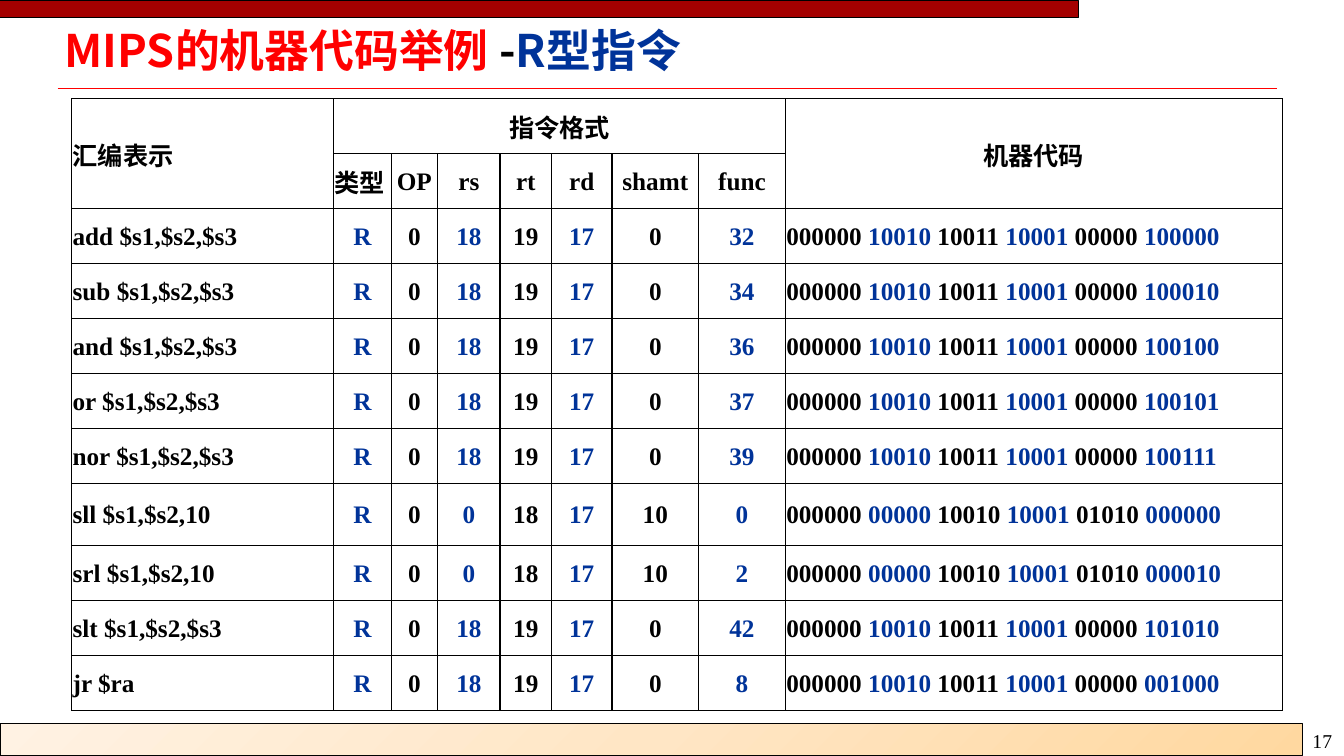
from pptx import Presentation
from pptx import util as u
from pptx.dml.color import RGBColor
from pptx.enum import shapes, text
from pptx.oxml import parse_xml
from pptx.oxml.ns import nsdecls, qn

COLORS = {"black": "000000", "white": "FFFFFF", "red": "FF0000", "blue": "003399",
          "crimson": "A40000", "peach": "FFD8A0", "apricot": "FFE6C5", "cream": "FFF2E3"}
SANS, SERIF = "Noto Sans CJK SC", "Times New Roman"

deck = Presentation()
deck.slide_width, deck.slide_height = u.Inches(13.33), u.Inches(7.5)
slide = deck.slides.add_slide(deck.slide_layouts[6])


def place(left, top, width, height):
    return [int(side * share / 100) for side, share in
            zip((deck.slide_width, deck.slide_height) * 2, (left, top, width, height))]


def write(paragraph, pieces, size, latin, bold=True):
    for words, color in pieces:
        run = paragraph.add_run()
        run.text = words
        run.font.size, run.font.bold, run.font.name = u.Pt(size), bold, latin
        run.font.color.rgb = RGBColor.from_string(COLORS[color])
        run._r.get_or_add_rPr().find(qn("a:latin")).addnext(
            parse_xml(f'<a:ea {nsdecls("a")} typeface="{SANS}"/>'))


x, y, length, _ = place(4.28, 11.73, 90.77, 0)
title_rule = slide.shapes.add_connector(shapes.MSO_CONNECTOR.STRAIGHT, x, y, x + length, y)
title_rule.line.color.rgb = RGBColor.from_string(COLORS["red"])
title_rule.line.width = u.Pt(1)
title_rule._element.spPr.append(parse_xml(f'<a:effectLst {nsdecls("a")}/>'))

bands = []
for area in [(0, 95.73, 96.92, 4.27), (0, 0.13, 80.27, 2.13)]:
    band = slide.shapes.add_shape(shapes.MSO_SHAPE.RECTANGLE, *place(*area))
    band.shadow.inherit = False
    band.fill.solid()
    band.fill.fore_color.rgb = RGBColor.from_string(COLORS["crimson"])
    band.line.color.rgb = RGBColor.from_string(COLORS["black"])
    band.line.width = u.Pt(0.75)
    bands.append(band)

footer = bands[0]._element.spPr
stops = "".join(f'<a:gs pos="{pos}000"><a:srgbClr val="{COLORS[name]}"/></a:gs>'
                for pos, name in [(0, "peach"), (50, "apricot"), (100, "cream")])
footer.replace(footer.find(qn("a:solidFill")), parse_xml(
    f'<a:gradFill {nsdecls("a")} rotWithShape="1"><a:gsLst>{stops}</a:gsLst>'
    '<a:path path="circle"><a:fillToRect l="100000" t="100000"/></a:path></a:gradFill>'))

page_number = slide.shapes.add_textbox(*place(96.92, 95.73, 3.23, 4.53)).text_frame
page_number.word_wrap = False
write(page_number.paragraphs[0], [("17", "black")], 14, SERIF, False)

title = slide.shapes.add_textbox(*place(4.28, 3.6, 90.17, 6.93)).text_frame
title.word_wrap = True
title.vertical_anchor = text.MSO_ANCHOR.MIDDLE
title.margin_left = title.margin_right = u.Inches(0.07)
title.margin_top = title.margin_bottom = u.Inches(0.03)
title.paragraphs[0].line_spacing = 0.87
write(title.paragraphs[0],
      [("MIPS的机器代码举例 ", "red"), ("-", "black"), ("R型指令", "blue")], 32, SANS)

instructions = [
    ("add $s1,$s2,$s3", 0, 18, 19, 17, 0, 32),
    ("sub $s1,$s2,$s3", 0, 18, 19, 17, 0, 34),
    ("and $s1,$s2,$s3", 0, 18, 19, 17, 0, 36),
    ("or $s1,$s2,$s3", 0, 18, 19, 17, 0, 37),
    ("nor $s1,$s2,$s3", 0, 18, 19, 17, 0, 39),
    ("sll $s1,$s2,10", 0, 0, 18, 17, 10, 0),
    ("srl $s1,$s2,10", 0, 0, 18, 17, 10, 2),
    ("slt $s1,$s2,$s3", 0, 18, 19, 17, 0, 42),
    ("jr $ra", 0, 18, 19, 17, 0, 8),
]
FIELD_BITS = (6, 5, 5, 5, 5, 6)
FIELD_COLORS = ("black", "blue") * 3

rows = [
    [[("汇编表示", "black")], [("指令格式", "black")]] + [[]] * 6 + [[("机器代码", "black")]],
    [[]] + [[(name, "black")] for name in
            ("类型", "OP", "rs", "rt", "rd", "shamt", "func")] + [[]],
]
for assembly, *fields in instructions:
    machine_code = []
    for value, bits, color in zip(fields, FIELD_BITS, FIELD_COLORS):
        gap = " " if machine_code else ""
        machine_code.append((f"{gap}{value:0{bits}b}", color))
    rows.append([[(assembly, "black")], [("R", "blue")]]
                + [[(str(value), color)] for value, color in zip(fields, FIELD_COLORS)]
                + [machine_code])

COLUMN_SHARES = (19.5, 4.28, 3.45, 4.65, 3.83, 4.5, 6.45, 6.45, 36.98)
TALL_ROW = 7
code_table = slide.shapes.add_table(
    len(rows), len(COLUMN_SHARES), *place(5.33, 13.07, 90.09, 81.07)).table
code_table.first_row = code_table.horz_banding = False
for column, share in zip(code_table.columns, COLUMN_SHARES):
    column.width = int(deck.slide_width * share / 100)
for number, row in enumerate(code_table.rows):
    row.height = int(deck.slide_height * (8.2 if number == TALL_ROW else 7.28) / 100)

for r, row in enumerate(rows):
    for c, pieces in enumerate(row):
        cell = code_table.cell(r, c)
        cell.margin_left = cell.margin_right = cell.margin_top = u.Inches(0.01)
        cell.margin_bottom = 0
        cell.vertical_anchor = text.MSO_ANCHOR.MIDDLE
        for side in ("lnL", "lnR", "lnT", "lnB"):
            cell._tc.get_or_add_tcPr().append(parse_xml(
                f'<a:{side} {nsdecls("a")} w="12700"><a:solidFill>'
                f'<a:srgbClr val="{COLORS["black"]}"/></a:solidFill></a:{side}>'))
        cell.fill.solid()
        cell.fill.fore_color.rgb = RGBColor.from_string(COLORS["white"])
        paragraph = cell.text_frame.paragraphs[0]
        left_aligned = c == 0 or (r, c) == (1, 1) or (r > 1 and c == 8)
        paragraph.alignment = text.PP_ALIGN.LEFT if left_aligned else text.PP_ALIGN.CENTER
        write(paragraph, pieces, 18, SERIF)

for start, end in [((0, 0), (1, 0)), ((0, 1), (0, 7)), ((0, 8), (1, 8))]:
    code_table.cell(*start).merge(code_table.cell(*end))

deck.save("out.pptx")
